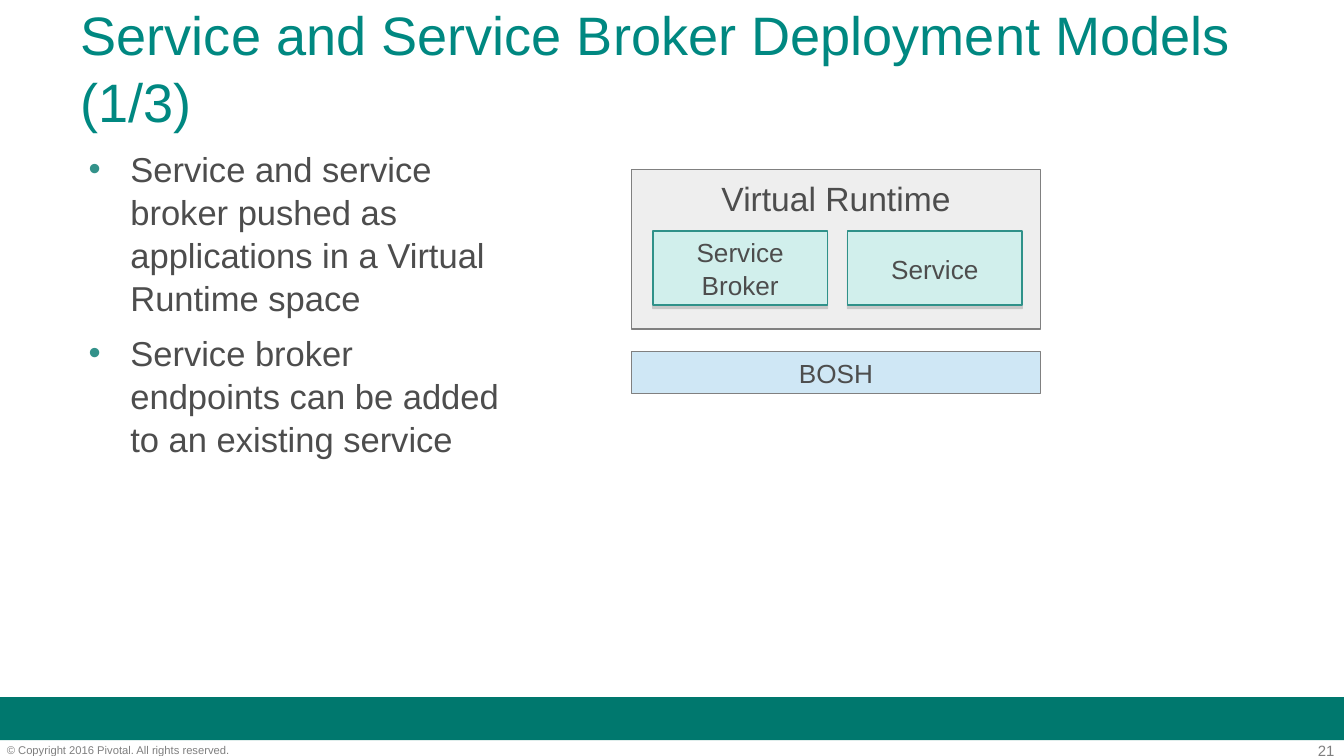
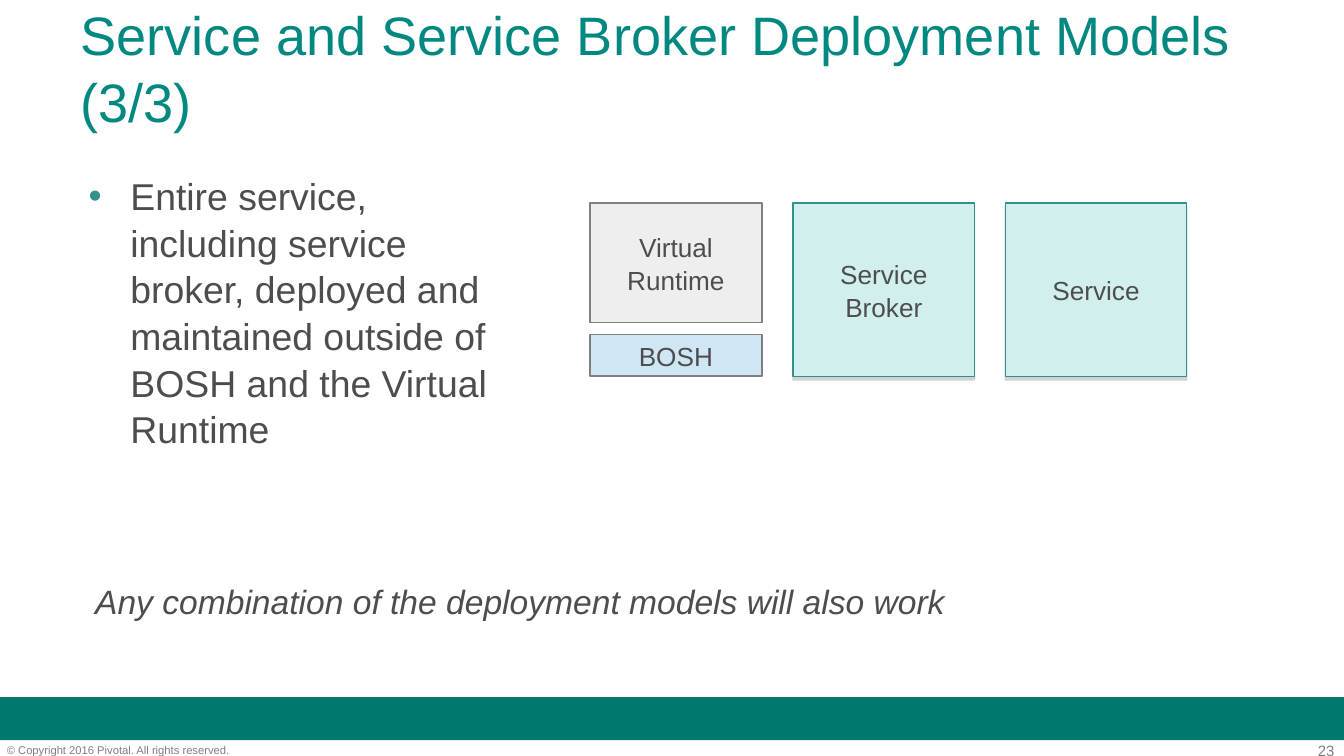
from lxml import etree
from pptx import Presentation
from pptx import util as u
from pptx.dml.color import RGBColor
from pptx.enum import shapes, text
from pptx.oxml import ns

TEAL = RGBColor(0x00, 0x88, 0x81)
BAND = RGBColor(0x00, 0x78, 0x6E)
BULLET = RGBColor(0x33, 0x92, 0x8A)
INK = RGBColor(0x4D, 0x4D, 0x4D)
GRAY = RGBColor(0x80, 0x80, 0x80)
FOOTER = RGBColor(0x7F, 0x7F, 0x7F)
PANEL = RGBColor(0xEE, 0xEE, 0xEE)
SKY = RGBColor(0xCF, 0xE7, 0xF5)
MINT = RGBColor(0xD1, 0xEF, 0xEC)
MINT_EDGE = RGBColor(0x2F, 0x91, 0x89)

FONT = "Arial"
LINE_SPACING = 1.04
COPYRIGHT = "© Copyright 2016 Pivotal. All rights reserved."
LEFT, CENTER, RIGHT = text.PP_ALIGN.LEFT, text.PP_ALIGN.CENTER, text.PP_ALIGN.RIGHT
TOP, MIDDLE = text.MSO_ANCHOR.TOP, text.MSO_ANCHOR.MIDDLE


def cm(*lengths):
    return [u.Cm(length) for length in lengths]


def child(parent, tag, **attributes):
    return etree.SubElement(parent, ns.qn(tag), attributes)


class Deck:
    def __init__(self):
        self.prs = Presentation()
        self.prs.slide_width, self.prs.slide_height = cm(25.4, 14.29)
        self.slide = None

    def new_slide(self, title, number):
        self.slide = self.prs.slides.add_slide(self.prs.slide_layouts[1])
        band = self.slide.shapes.add_shape(
            shapes.MSO_SHAPE.RECTANGLE, *cm(0, 13.18, 25.4, 0.81))
        band.shadow.inherit = False
        band.fill.solid()
        band.fill.fore_color.rgb = BAND
        band.line.fill.background()
        self.label(str(number), (23.75, 14, 1.47, 0.33), 8, FOOTER, RIGHT, inset=0)
        self.label(COPYRIGHT, (0.13, 14.05, 6.32, 0.25), 6, FOOTER, inset=0)
        heading = self.slide.shapes.title
        self.place(heading, (1.27, 0.05, 22.86, 2.39))
        heading.text_frame.text = title
        self.format(heading.text_frame, 29, TEAL, LEFT, MIDDLE)

    def place(self, shape, box):
        shape.left, shape.top, shape.width, shape.height = cm(*box)

    def format(self, frame, size, color, align, anchor=TOP, italic=False):
        frame.word_wrap = True
        frame.auto_size = text.MSO_AUTO_SIZE.NONE
        frame.vertical_anchor = anchor
        for paragraph in frame.paragraphs:
            paragraph.alignment = align
            paragraph.line_spacing = LINE_SPACING
            paragraph.space_before = u.Pt(0)
            for run in paragraph.runs:
                run.font.name = FONT
                run.font.size = u.Pt(size)
                run.font.color.rgb = color
                run.font.italic = italic

    def label(self, words, box, size, color=INK, align=LEFT, italic=False, inset=None):
        frame = self.slide.shapes.add_textbox(*cm(*box)).text_frame
        if inset is not None:
            frame.margin_left = frame.margin_right = u.Cm(inset)
            frame.margin_top = frame.margin_bottom = u.Cm(inset)
        frame.text = words
        self.format(frame, size, color, align, italic=italic)

    def bullets(self, items, top, size):
        body = self.slide.placeholders[1]
        self.place(body, (1.27, top, 8.53, 7.16))
        frame = body.text_frame
        frame.text = "\n".join(items)
        for paragraph in frame.paragraphs:
            properties = paragraph._p.get_or_add_pPr()
            properties.set("marL", str(u.Cm(0.94)))
            properties.set("indent", str(u.Cm(-0.79)))
            child(child(properties, "a:buClr"), "a:srgbClr", val=str(BULLET))
            child(properties, "a:buChar", char="•")
        self.format(frame, size, INK, LEFT)
        for paragraph in frame.paragraphs[1:]:
            paragraph.space_before = u.Pt(6)

    def block(self, kind, words, box, fill, edge, size=14, anchor=MIDDLE):
        block = self.slide.shapes.add_shape(kind, *cm(*box))
        block.shadow.inherit = False
        block.fill.solid()
        block.fill.fore_color.rgb = fill
        block.line.color.rgb = edge
        block.line.width = u.Pt(0.75)
        block.text_frame.text = words
        self.format(block.text_frame, size, INK, CENTER, anchor)
        return block

    def platform(self, words, box, fill, size=14, anchor=MIDDLE):
        platform = self.block(shapes.MSO_SHAPE.ROUNDED_RECTANGLE, words, box,
                              fill, GRAY, size, anchor)
        platform.adjustments[0] = 0

    def services(self, left, top, width, height, step):
        for index, words in enumerate(("Service Broker", "Service")):
            service = self.block(shapes.MSO_SHAPE.RECTANGLE, words,
                                 (left + index * step, top, width, height),
                                 MINT, MINT_EDGE)
            effects = service._element.spPr.find(ns.qn("a:effectLst"))
            shadow = child(effects, "a:outerShdw", blurRad="0", dist=str(u.Pt(1.8)),
                           dir="5400000", rotWithShape="0")
            tint = child(shadow, "a:srgbClr", val=str(GRAY))
            child(tint, "a:alpha", val="35000")


def main():
    deck = Deck()
    title = "Service and Service Broker Deployment Models ({}/3)"

    deck.new_slide(title.format(1), 21)
    deck.bullets((
        "Service and service broker pushed as applications in an Virtual Runtime space".replace(
            "an Virtual", "a Virtual"),
        "Service broker endpoints can be added to an existing service",
    ), 2.64, 18.5)
    deck.platform("Virtual Runtime", (11.94, 3.2, 7.72, 3.02), PANEL, 18, TOP)
    deck.platform("BOSH", (11.94, 6.65, 7.72, 0.79), SKY)
    deck.services(12.34, 4.37, 3.3, 1.4, step=3.68)

    deck.new_slide(title.format(3), 23)
    deck.bullets((
        "Entire service, including service broker, deployed and maintained "
        "outside of BOSH and the Virtual Runtime",
    ), 3.12, 20)
    deck.platform("Virtual Runtime", (11.15, 3.84, 3.25, 2.26), PANEL)
    deck.platform("BOSH", (11.15, 6.32, 3.25, 0.79), SKY)
    deck.services(14.99, 3.84, 3.43, 3.28, step=4.01)
    deck.label("Any combination of the deployment models will also work",
               (1.55, 10.82, 22.17, 1.3), 18, italic=True)

    deck.prs.save("out.pptx")


if __name__ == "__main__":
    main()
